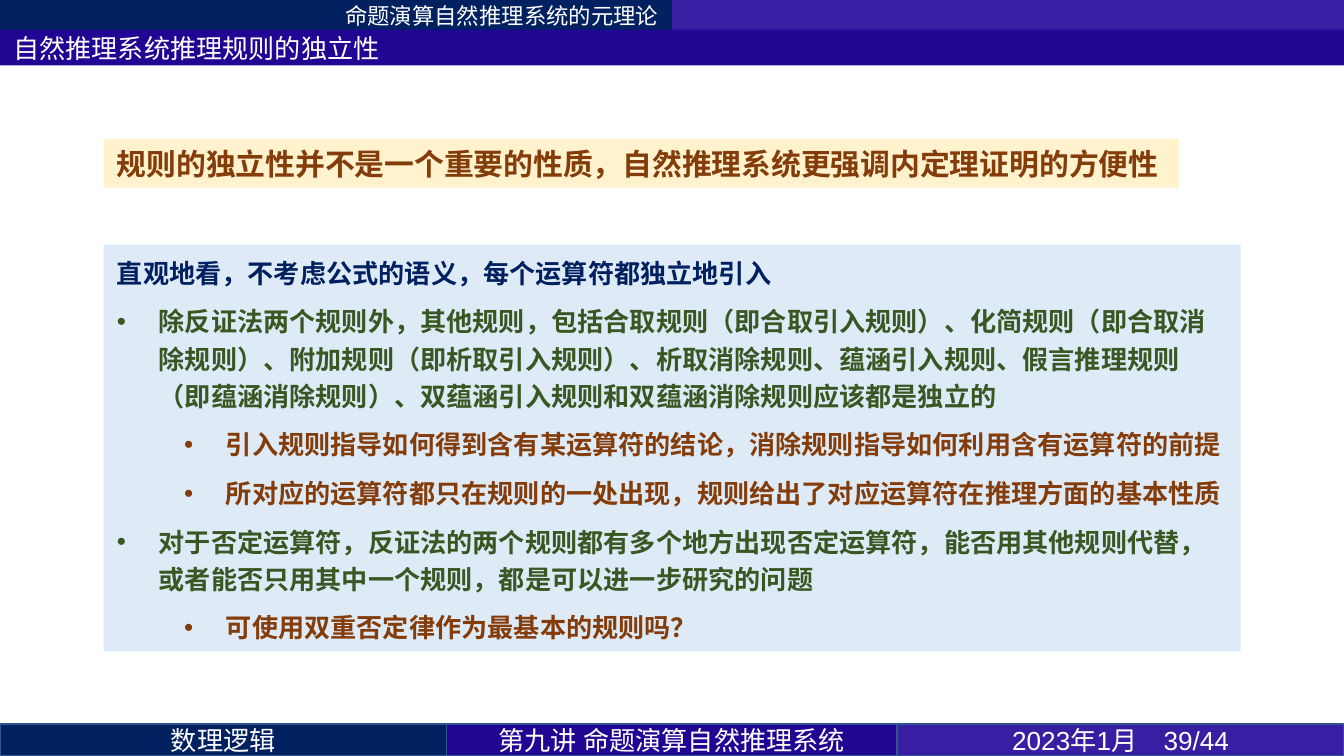
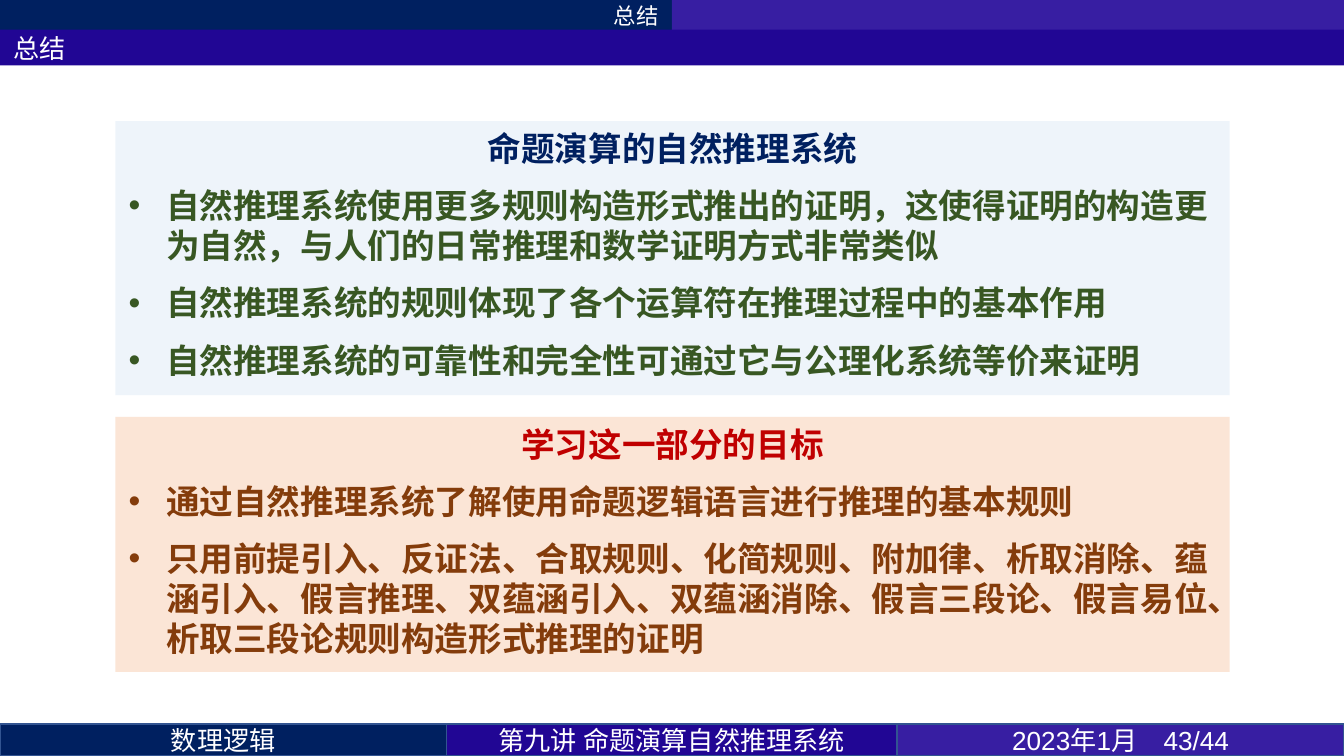
from lxml.etree import SubElement
from pptx import Presentation
from pptx.dml.color import RGBColor
from pptx.enum.lang import MSO_LANGUAGE_ID
from pptx.enum.shapes import MSO_SHAPE
from pptx.enum.text import MSO_ANCHOR, MSO_AUTO_SIZE, PP_ALIGN
from pptx.oxml.ns import qn
from pptx.util import Cm, Pt

# Shared look
NAVY, INDIGO, VIOLET, EDGE = "002060", "210694", "371EA2", "325491"
WHITE, GREEN, BROWN, RED = "FFFFFF", "385723", "843C0B", "C00000"
CREAM, PALE_BLUE, PEACH = "FFF2CC", "DEEBF7", "FBE5D6"
SANS, LATIN, NUMERIC = "Noto Sans CJK SC", "Calibri", "Arial"
WIDTH, HEIGHT = 25.4, 14.29
TAB_HEIGHT, FOOTER_TOP, FOOTER_HEIGHT = 0.58, 13.69, 0.6

rgb = RGBColor.from_string


def add_panel(slide, left, top, width, height, fill, line=None, opacity=None, grow=False):
    panel = slide.shapes.add_shape(
        MSO_SHAPE.RECTANGLE, Cm(left), Cm(top), Cm(width), Cm(height))
    panel.shadow.inherit = False
    panel.fill.solid()
    panel.fill.fore_color.rgb = rgb(fill)
    if opacity:
        color = panel.fill._xPr.find(qn("a:solidFill"))[0]
        SubElement(color, qn("a:alpha")).set("val", str(opacity * 1000))
    if line:
        panel.line.color.rgb = rgb(line)
        panel.line.width = Pt(1)
    else:
        panel.line.fill.background()
    frame = panel.text_frame
    frame.word_wrap = True
    frame.vertical_anchor = MSO_ANCHOR.TOP if grow else MSO_ANCHOR.MIDDLE
    if grow:
        frame.auto_size = MSO_AUTO_SIZE.SHAPE_TO_FIT_TEXT
    return frame


def write(frame, text, *, size=14, font=SANS, color=WHITE, bold=False,
          align=PP_ALIGN.LEFT, level=0, margin=0, hang=0,
          before=0, after=0, leading=None):
    paragraph = frame.paragraphs[0]
    if paragraph.runs:
        paragraph = frame.add_paragraph()
    paragraph.alignment = align
    paragraph.level = level
    paragraph.space_before, paragraph.space_after = Pt(before), Pt(after)
    if leading:
        paragraph.line_spacing = Pt(leading)
    run = paragraph.add_run()
    run.text = text
    run.font.size, run.font.bold, run.font.name = Pt(size), bold, font
    run.font.color.rgb = rgb(color)
    run.font.language_id = MSO_LANGUAGE_ID.SIMPLIFIED_CHINESE
    # East Asian text takes the line height of the Latin face
    SubElement(run.font._element, qn("a:ea")).set("typeface", LATIN)
    if hang:
        properties = paragraph._p.get_or_add_pPr()
        properties.set("marL", str(Cm(margin)))
        properties.set("indent", str(-Cm(hang)))
        SubElement(properties, qn("a:buFont")).set("typeface", NUMERIC)
        SubElement(properties, qn("a:buChar")).set("char", "•")


deck = Presentation()
deck.slide_width, deck.slide_height = Cm(WIDTH), Cm(HEIGHT)

# Header bands and footer of every slide
pages = []
for section, title, number in [
    ("命题演算自然推理系统的元理论", "自然推理系统推理规则的独立性", 39),
    ("总结", "总结", 43),
]:
    page = deck.slides.add_slide(deck.slide_layouts[6])
    pages.append(page)
    section_tab = add_panel(page, 0, 0, WIDTH / 2, TAB_HEIGHT, NAVY)
    write(section_tab, section, size=12, align=PP_ALIGN.RIGHT)
    add_panel(page, WIDTH / 2, 0, WIDTH / 2, TAB_HEIGHT, VIOLET)
    title_band = add_panel(page, 0, 0.56, WIDTH, 0.68, INDIGO)
    write(title_band, title, font=LATIN)

    left = 0
    for text, width, fill, font in [
        ("数理逻辑", 8.44, NAVY, SANS),
        ("第九讲 命题演算自然推理系统", 8.52, INDIGO, SANS),
        (f"2023年1月　{number}/44", 8.44, VIOLET, NUMERIC),
    ]:
        footer = add_panel(page, left, FOOTER_TOP, width, FOOTER_HEIGHT, fill, line=EDGE)
        write(footer, text, font=font, align=PP_ALIGN.CENTER)
        left += width

independence_page, summary_page = pages

# Independence of the rules: key statement
statement = add_panel(independence_page, 1.96, 2.62, 20.32, 0.93, CREAM, grow=True)
write(statement, "规则的独立性并不是一个重要的性质，自然推理系统更强调内定理证明的方便性",
      size=16, font=LATIN, color=BROWN, bold=True)

# Independence of the rules: discussion
discussion = add_panel(independence_page, 1.96, 4.62, 21.49, 7.7, PALE_BLUE, grow=True)
write(discussion, "直观地看，不考虑公式的语义，每个运算符都独立地引入",
      color=NAVY, bold=True, before=6, leading=20)
for level, text in [
    (0, "除反证法两个规则外，其他规则，包括合取规则（即合取引入规则）、化简规则（即合取消除规则）、"
        "附加规则（即析取引入规则）、析取消除规则、蕴涵引入规则、假言推理规则（即蕴涵消除规则）、"
        "双蕴涵引入规则和双蕴涵消除规则应该都是独立的"),
    (1, "引入规则指导如何得到含有某运算符的结论，消除规则指导如何利用含有运算符的前提"),
    (1, "所对应的运算符都只在规则的一处出现，规则给出了对应运算符在推理方面的基本性质"),
    (0, "对于否定运算符，反证法的两个规则都有多个地方出现否定运算符，能否用其他规则代替，"
        "或者能否只用其中一个规则，都是可以进一步研究的问题"),
    (1, "可使用双重否定律作为最基本的规则吗？"),
]:
    write(discussion, text, font=(LATIN, SANS)[level], color=(GREEN, BROWN)[level],
          bold=True, level=level, margin=0.79 + 1.27 * level, hang=0.79,
          before=6, leading=20)

# Summary: the system and the learning goals
for top, height, fill, opacity, heading, heading_color, lead, color, points in [
    (2.29, 5.18, PALE_BLUE, 50, "命题演算的自然推理系统", NAVY, 4.5, GREEN, [
        "自然推理系统使用更多规则构造形式推出的证明，这使得证明的构造更为自然，"
        "与人们的日常推理和数学证明方式非常类似",
        "自然推理系统的规则体现了各个运算符在推理过程中的基本作用",
        "自然推理系统的可靠性和完全性可通过它与公理化系统等价来证明",
    ]),
    (7.88, 4.82, PEACH, None, "学习这一部分的目标", RED, 0, BROWN, [
        "通过自然推理系统了解使用命题逻辑语言进行推理的基本规则",
        "只用前提引入、反证法、合取规则、化简规则、附加律、析取消除、蕴涵引入、假言推理、"
        "双蕴涵引入、双蕴涵消除、假言三段论、假言易位、析取三段论规则构造形式推理的证明",
    ]),
]:
    summary = add_panel(summary_page, 2.18, top, 21.06, height, fill,
                        opacity=opacity, grow=True)
    write(summary, heading, size=18, font=LATIN, color=heading_color, bold=True,
          align=PP_ALIGN.CENTER, before=lead, after=4.5)
    for point in points:
        write(summary, point, size=18, color=color, bold=True,
              margin=0.71, hang=0.71, before=4.5, after=4.5)

deck.save("out.pptx")
